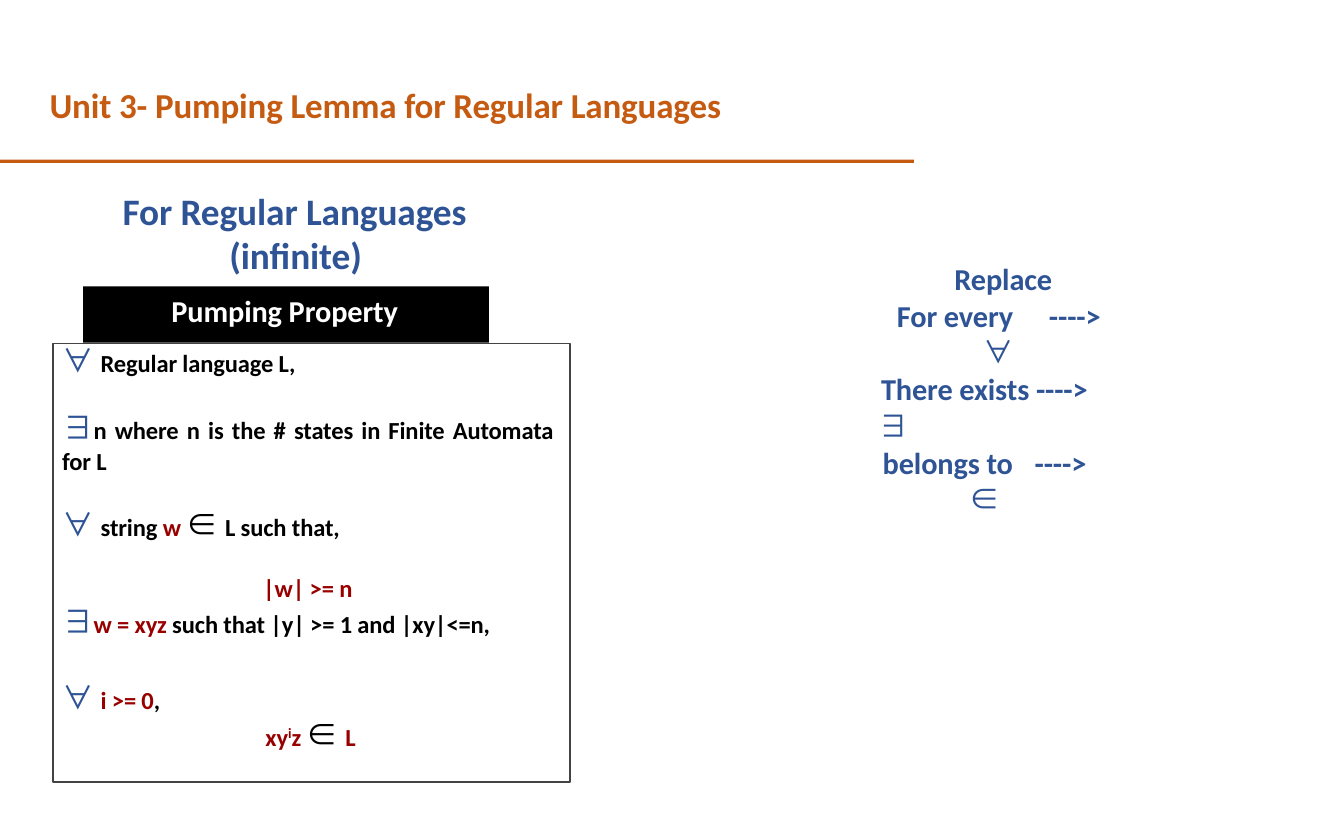
import pptx
import pptx.util
import pptx.dml.color
import pptx.enum.shapes
import pptx.enum.text
from lxml import etree

Inches, Pt = pptx.util.Inches, pptx.util.Pt
ALIGN = pptx.enum.text.PP_ALIGN
ANCHOR = pptx.enum.text.MSO_ANCHOR

ORANGE, BLUE, RED = "C55A11", "2F5496", "980000"
BLACK, WHITE, GREY = "000000", "FFFFFF", "434343"
TEXT_FONT, SYMBOL_FONT = "Calibri", "Noto Sans CJK JP"
SYMBOLS = "∀∃∈"
SUPERSCRIPT = "32000"

# A paragraph is (runs, format); a run is (text, colour) or (text, colour, baseline).
TITLE = [([("Unit 3- Pumping Lemma for Regular Languages", ORANGE)], {})]
HEADING = [([("For Regular Languages", BLUE)], {})]
SUBHEADING = [([("(infinite)", BLUE)], {})]
BANNER = [([("Pumping Property", WHITE)], {"left": 1.05})]
SIDE = {"left": 0.11, "right": 0.2}
PROPERTY = [
    ([("∀ ", BLUE), ("Regular language L,", BLACK)], {**SIDE, "line": 30}),
    ([("∃", BLUE), ("n where n is the # states in Finite Automata for L", BLACK)],
     {**SIDE, "before": 25.3, "align": ALIGN.JUSTIFY}),
    ([("∀ ", BLUE), ("string ", BLACK), ("w ", RED), ("∈ ", BLACK),
      ("L such that,", BLACK)], {**SIDE, "before": 25.7}),
    ([("|w| >= n", RED)], {**SIDE, "before": 25.6, "align": ALIGN.CENTER}),
    ([("∃", BLUE), ("w = xyz ", RED), ("such that |y| >= 1 and |xy|<=n,", BLACK)], SIDE),
    ([("∀ ", BLUE), ("i >= 0", RED), (",", BLACK)], {**SIDE, "before": 32}),
]
PUMPED_STRING = [([("xy", RED), ("i", RED, SUPERSCRIPT), ("z ", RED), ("∈ ", BLACK),
                   ("L", RED)], {"line": 29.6})]
CENTRED = {"align": ALIGN.CENTER, "before": 0.3}
REPLACE = [
    ([("Replace", BLUE)], {"align": ALIGN.CENTER, "left": 0.06}),
    ([("For every\t----> ", BLUE), ("∀", BLUE)], {**CENTRED, "right": 0.05, "tab": 1.81}),
    ([("There exists ---->", BLUE)], {**CENTRED, "right": 0.39}),
    ([("∃", BLUE)], {"before": 0.3}),
    ([("belongs to\t----> ", BLUE), ("∈", BLUE)], {**CENTRED, "right": 0.39, "tab": 1.81}),
]

# Left, top, width, height; paragraphs; text size, symbol size, top inset; box format.
BLOCKS = [
    ((0.59, 0.31, 9, 1.19), TITLE, 30, 30, 0, {"anchor": ANCHOR.BOTTOM}),
    ((0, 1.9, 10.88, 0.04), [], 0, 0, 0, {"fill": ORANGE}),
    ((1.46, 2.22, 4.5, 0.56), HEADING, 32, 32, 0.02, {}),
    ((2.73, 2.75, 1.9, 0.56), SUBHEADING, 32, 32, 0.02, {}),
    ((0.63, 4.09, 6.16, 5.22), PROPERTY, 21, 27, 0, {"line": GREY}),
    ((3.16, 8.55, 1.4, 0.42), PUMPED_STRING, 21, 27, 0, {}),
    ((0.99, 3.41, 4.83, 0.67), BANNER, 26, 26, 0.07, {"fill": BLACK}),
    ((10.46, 3.08, 2.91, 2.21), REPLACE, 26, 26, 0.02, {}),
]


def rgb(code):
    return pptx.dml.color.RGBColor.from_string(code)


def add_child(parent, tag, **attributes):
    """Append a DrawingML element."""
    child = etree.SubElement(parent, pptx.oxml.ns.qn(tag))
    for key, value in attributes.items():
        child.set(key, value)
    return child


def add_box(slide, place, look):
    area = [Inches(length) for length in place]
    if not {"fill", "line"} & look.keys():
        return slide.shapes.add_textbox(*area)
    box = slide.shapes.add_shape(pptx.enum.shapes.MSO_SHAPE.RECTANGLE, *area)
    box.shadow.inherit = False
    if "fill" in look:
        box.fill.solid()
        box.fill.fore_color.rgb = rgb(look["fill"])
    else:
        box.fill.background()
    if "line" in look:
        box.line.color.rgb = rgb(look["line"])
        box.line.width = Pt(1.5)
    else:
        box.line.fill.background()
    return box


def format_para(para, style):
    para.alignment = style.get("align", ALIGN.LEFT)
    para.space_before = Pt(style.get("before", 0))
    if "line" in style:
        para.line_spacing = Pt(style["line"])
    properties = para._p.get_or_add_pPr()
    for side, key in (("left", "marL"), ("right", "marR")):
        properties.set(key, str(Inches(style.get(side, 0))))
    if "tab" in style:
        tabs = add_child(properties, "a:tabLst")
        add_child(tabs, "a:tab", pos=str(Inches(style["tab"])), algn="l")


def add_span(para, text, colour, text_size, symbol_size, baseline=None):
    span = para.add_run()
    span.text = text
    symbol = text.strip() in SYMBOLS
    values = {
        "name": SYMBOL_FONT if symbol else TEXT_FONT,
        "size": Pt(symbol_size if symbol else text_size),
        "bold": not symbol,
    }
    for key, value in values.items():
        setattr(span.font, key, value)
    span.font.color.rgb = rgb(colour)
    properties = span._r.get_or_add_rPr()
    if symbol:
        for tag in ("a:ea", "a:cs"):
            add_child(properties, tag, typeface=SYMBOL_FONT)
    else:
        properties.set("spc", "-10")
    if baseline:
        properties.set("baseline", baseline)


def fill_text(box, paragraphs, text_size, symbol_size, inset, anchor):
    frame = box.text_frame
    values = {
        "word_wrap": True, "vertical_anchor": anchor, "margin_top": Inches(inset),
        "margin_left": 0, "margin_right": 0, "margin_bottom": 0,
    }
    for key, value in values.items():
        setattr(frame, key, value)
    for index, (spans, style) in enumerate(paragraphs):
        para = frame.add_paragraph() if index else frame.paragraphs[0]
        format_para(para, style)
        for text, colour, *baseline in spans:
            add_span(para, text, colour, text_size, symbol_size, *baseline)


def main():
    deck = pptx.Presentation()
    deck.slide_width, deck.slide_height = Inches(16), Inches(10)
    slide = deck.slides.add_slide(deck.slide_layouts[6])
    for place, paragraphs, text_size, symbol_size, inset, look in BLOCKS:
        box = add_box(slide, place, look)
        if paragraphs:
            anchor = look.get("anchor", ANCHOR.TOP)
            fill_text(box, paragraphs, text_size, symbol_size, inset, anchor)
    deck.save("out.pptx")


if __name__ == "__main__":
    main()
